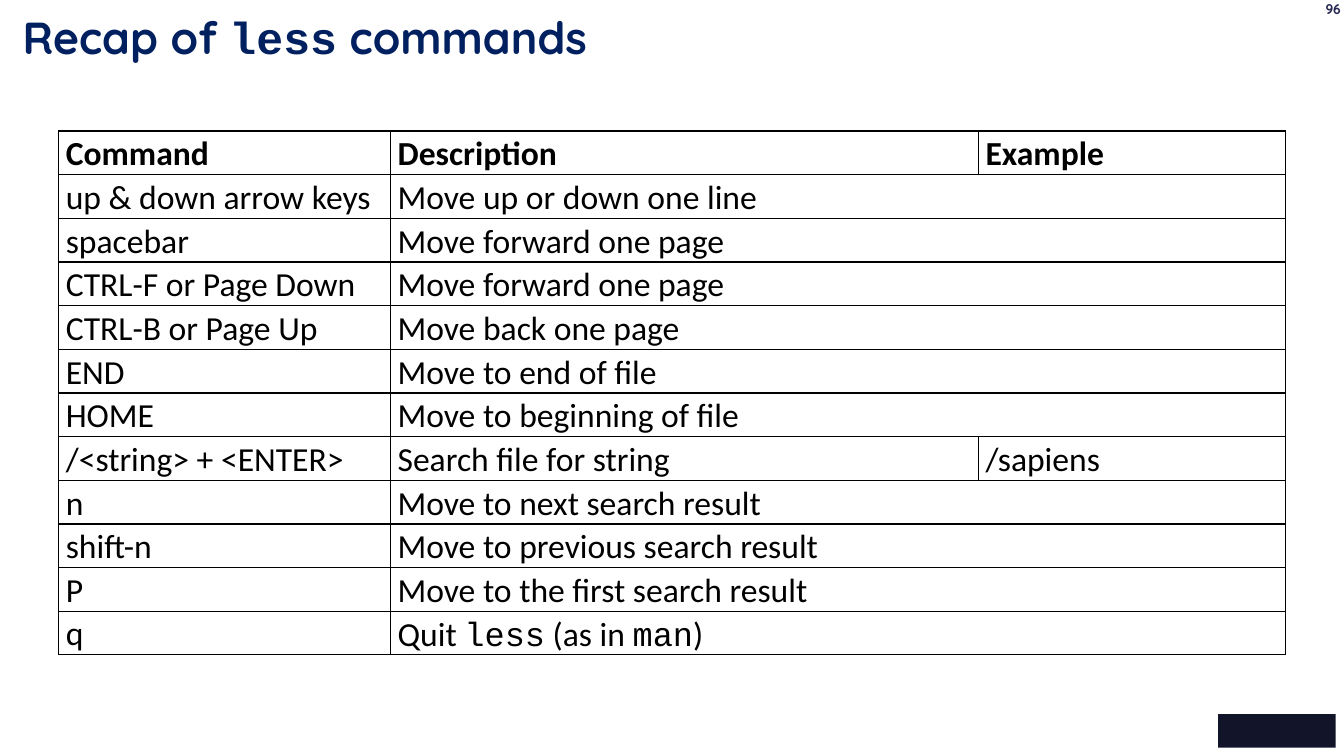
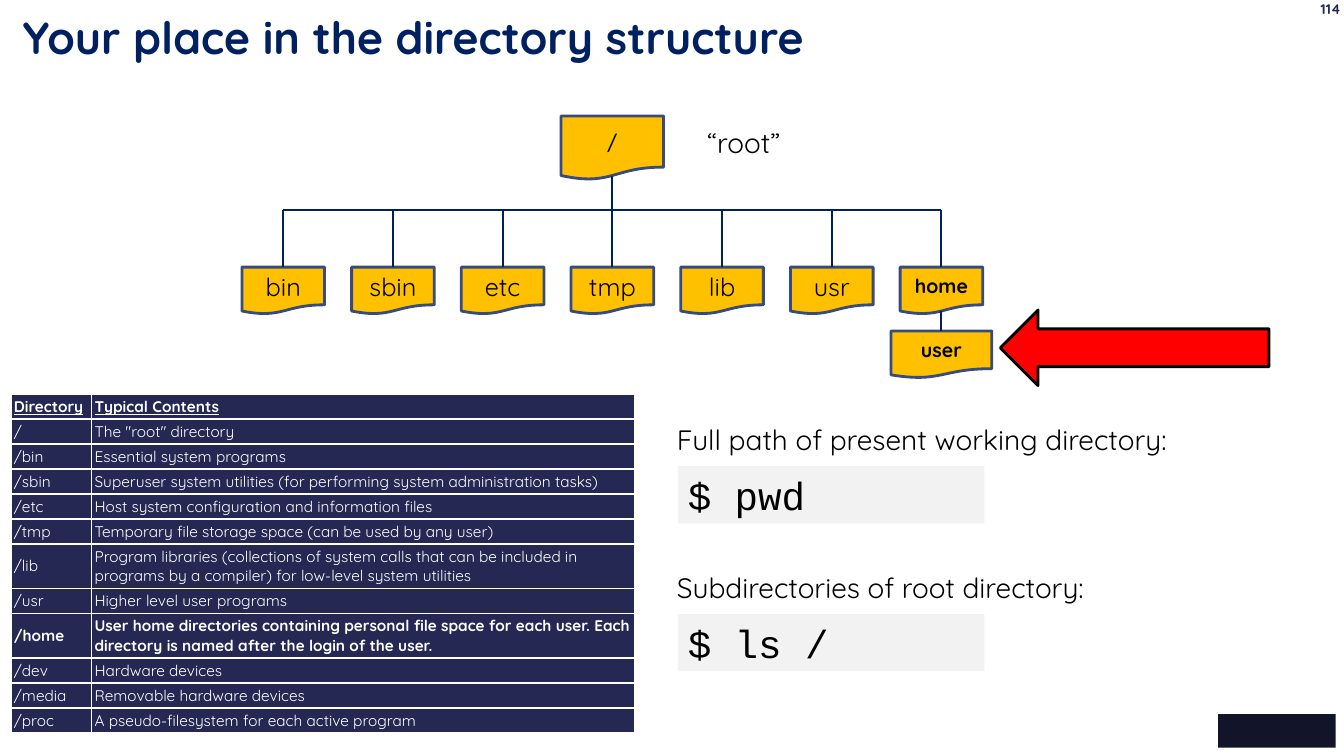
import pptx
import pptx.util
import pptx.dml.color
import pptx.enum.shapes
import pptx.enum.text
import pptx.oxml
import pptx.oxml.ns
from lxml import etree

UNIT = 76200
WIDE, HIGH = 160, 90
HUES = {
    "navy": "002060", "badge": "121429", "panel": "242852",
    "gold": "FFC000", "edge": "374B7F", "red": "FF0000",
    "gray": "F2F2F2", "black": "000000", "white": "FFFFFF",
}
MAIN, BODY, CODE = "Quicksand", "Calibri", "Courier New"
FORM = pptx.enum.shapes.MSO_SHAPE
ALIGN = pptx.enum.text.PP_ALIGN
MID = pptx.enum.text.MSO_ANCHOR.MIDDLE

KEYS = [
    ("Command", "Description", "Example"),
    ("up & down arrow keys", "Move up or down one line"),
    ("spacebar", "Move forward one page"),
    ("CTRL-F or Page Down", "Move forward one page"),
    ("CTRL-B or Page Up", "Move back one page"),
    ("END", "Move to end of file"),
    ("HOME", "Move to beginning of file"),
    ("/<string> + <ENTER>", "Search file for string", "/sapiens"),
    ("n", "Move to next search result"),
    ("shift-n", "Move to previous search result"),
    ("P", "Move to the first search result"),
    ("q", "Quit `less` (as in `man`)"),
]
DIRS = [
    ("Directory", "Typical Contents"),
    ("/", 'The "root" directory'),
    ("/bin", "Essential system programs"),
    ("/sbin", "Superuser system utilities (for performing system administration tasks)"),
    ("/etc", "Host system configuration and information files"),
    ("/tmp", "Temporary file storage space (can be used by any user)"),
    ("/lib", "Program libraries (collections of system calls that can be included in "
             "programs by a compiler) for low-level system utilities"),
    ("/usr", "Higher level user programs"),
    ("/home", "User home directories containing personal file space for each user. "
              "Each directory is named after the login of the user."),
    ("/dev", "Hardware devices"),
    ("/media", "Removable hardware devices"),
    ("/proc", "A pseudo-filesystem for each active program"),
]


def grid(*nums):
    """Turn grid units into slide lengths."""
    return [pptx.util.Emu(round(n * UNIT)) for n in nums]


def hue(name):
    """Return a colour from the shared set."""
    return pptx.dml.color.RGBColor.from_string(HUES[name])


def put(frame, text, size, tint="black", face=MAIN, bold=False, align=ALIGN.LEFT):
    """Write one paragraph, with backticked parts in the code font."""
    para = frame.paragraphs[0]
    para.alignment = align
    for i, part in enumerate(text.split("`")):
        if part:
            run = para.add_run()
            run.text = part
            if i % 2:
                run.font.name = CODE
    font = para.font
    font.name, font.size, font.bold = face, pptx.util.Pt(size), bold
    font.color.rgb = hue(tint)
    return para


def label(slide, box, text, size, **look):
    """Add a wrapping text box."""
    frame = slide.shapes.add_textbox(*grid(*box)).text_frame
    frame.word_wrap = True
    put(frame, text, size, **look)


def block(slide, form, box, fill, edge=None):
    """Add a plain filled shape."""
    shape = slide.shapes.add_shape(form, *grid(*box))
    shape.shadow.inherit = False
    shape.fill.solid()
    shape.fill.fore_color.rgb = hue(fill)
    if edge:
        shape.line.color.rgb = hue(edge)
        shape.line.width = pptx.util.Pt(2)
    else:
        shape.line.fill.background()
    return shape


def wire(slide, start, end, goal=None):
    """Draw a straight line, joined to the top of a goal shape."""
    line = slide.shapes.add_connector(
        pptx.enum.shapes.MSO_CONNECTOR.STRAIGHT, *grid(*start, *end))
    line.line.color.rgb = hue("navy")
    line.line.width = pptx.util.Pt(1.5)
    etree.SubElement(line._element.spPr, pptx.oxml.ns.qn("a:effectLst"))
    if goal is not None:
        line.end_connect(goal, 0)


def base(deck, title, page):
    """Start a slide with its title, page number and corner block."""
    slide = deck.slides.add_slide(deck.slide_layouts[6])
    block(slide, FORM.RECTANGLE, (WIDE - 15, HIGH - 5, 14, 4), "badge")
    label(slide, (WIDE - 6.2, -0.5, 7, 3.2), page, 10,
          tint="panel", bold=True, align=ALIGN.RIGHT)
    label(slide, (1.5, 0.6, 152.8, 7.6), title, 32, tint="navy", bold=True)
    return slide


def table(slide, left, top, cols, rows):
    """Add an unstyled table with the given column and row sizes."""
    box = grid(left, top, sum(cols), sum(rows))
    grid_tab = slide.shapes.add_table(len(rows), len(cols), *box).table
    grid_tab.first_row = grid_tab.horz_banding = False
    for col, size in zip(grid_tab.columns, grid(*cols)):
        col.width = size
    for row, size in zip(grid_tab.rows, grid(*rows)):
        row.height = size
    return grid_tab


def inset(cell, side, edge):
    """Set the side and top margins of a cell."""
    cell.margin_left = cell.margin_right = pptx.util.Inches(side)
    cell.margin_top = cell.margin_bottom = pptx.util.Inches(edge)


def rule(cell):
    """Give a cell thin black borders."""
    props = cell._tc.get_or_add_tcPr()
    for i, side in enumerate(("lnL", "lnR", "lnT", "lnB")):
        props.insert(i, pptx.oxml.parse_xml(
            f'<a:{side} {pptx.oxml.ns.nsdecls("a")} w="12700"><a:solidFill>'
            f'<a:srgbClr val="{HUES["black"]}"/></a:solidFill></a:{side}>'))


def keys(slide, left, top):
    """Place the table of commands."""
    tab = table(slide, left, top, (39.5, 70, 36.5), [5.2] * len(KEYS))
    for r, texts in enumerate(KEYS):
        if len(texts) == 2:
            tab.cell(r, 1).merge(tab.cell(r, 2))
        for c in range(3):
            cell = tab.cell(r, c)
            cell.fill.background()
            inset(cell, 0.07, 0)
            rule(cell)
            if c < len(texts):
                para = put(cell.text_frame, texts[c], 24, face=BODY,
                           bold=r == 0, align=ALIGN.JUSTIFY)
                para.line_spacing = 1.07


def dirs(slide, left, top):
    """Place the table of directories."""
    rows = [5.3 if len(text) > 80 else 2.98 for _, text in DIRS]
    tab = table(slide, left, top, (9.6, 64.6), rows)
    for r, texts in enumerate(DIRS):
        for c, text in enumerate(texts):
            cell = tab.cell(r, c)
            cell.fill.solid()
            cell.fill.fore_color.rgb = hue("panel")
            cell.vertical_anchor = MID
            inset(cell, 0.03, 0.03)
            para = put(cell.text_frame, text, 11, tint="white",
                       bold=r == 0 or texts[0] == "/home")
            para.font.underline = r == 0


def node(slide, mid, top, wide, high, text, size=18, **look):
    """Add a directory symbol centred on a column."""
    shape = block(slide, FORM.FLOWCHART_DOCUMENT,
                  (mid - wide / 2, top, wide, high), "gold", "edge")
    shape.text_frame.vertical_anchor = MID
    put(shape.text_frame, text, size, align=ALIGN.CENTER, **look)
    return shape


def tree(slide, left, top, wide):
    """Place the directory tree with its marker arrow."""
    names = ("bin", "sbin", "etc", "tmp", "lib", "usr", "home")
    size, high, bus, row, leaf = 9.84, 5.6, top + 11.2, top + 18, top + 25.6
    step = (wide - size) / (len(names) - 1)
    mids = [left + size / 2 + i * step for i in range(len(names))]
    mid, last = left + wide / 2, mids[-1]
    node(slide, mid, top, 12.2, 7.6, "/", face=BODY)
    label(slide, (mid + 8.1, top + 0.6, 15.1, 5.3), "“root”", 20, align=ALIGN.CENTER)
    wire(slide, (mid, top + 7.1), (mid, bus))
    wire(slide, (mids[0], bus), (last, bus))
    for x, name in zip(mids, names):
        look = {"size": 14, "bold": True} if name == "home" else {}
        goal = node(slide, x, row, size, high, name, **look)
        wire(slide, (x, bus), (x, row), goal)
    user = node(slide, last, leaf, 12, high, "user", 14, bold=True)
    wire(slide, (last, row + 5.2), (last, leaf), user)
    block(slide, FORM.LEFT_ARROW, (last + 7, leaf - 2.5, 32, 9), "red", "black")


def shell(slide, left, top, text, code):
    """Place a caption above a command line."""
    label(slide, (left, top, 74.2, 5.3), text, 20)
    bar = block(slide, FORM.RECTANGLE, (left + 1.3, top + 5.8, 36.5, 6.8), "gray")
    bar.text_frame.vertical_anchor = pptx.enum.text.MSO_ANCHOR.TOP
    put(bar.text_frame, code, 28, face=CODE)


def main():
    """Build and save the deck."""
    deck = pptx.Presentation()
    deck.slide_width, deck.slide_height = grid(WIDE, HIGH)
    keys(base(deck, "Recap of `less` commands", "96"), 7, 15.6)
    slide = base(deck, "Your place in the directory structure", "114")
    tree(slide, 28.8, 13.8, 88.2)
    dirs(slide, 1.3, 46.9)
    shell(slide, 79.4, 49.7, "Full path of present working directory:", "$ pwd")
    shell(slide, 79.4, 67.3, "Subdirectories of root directory:", "$ ls /")
    deck.save("out.pptx")


if __name__ == "__main__":
    main()
